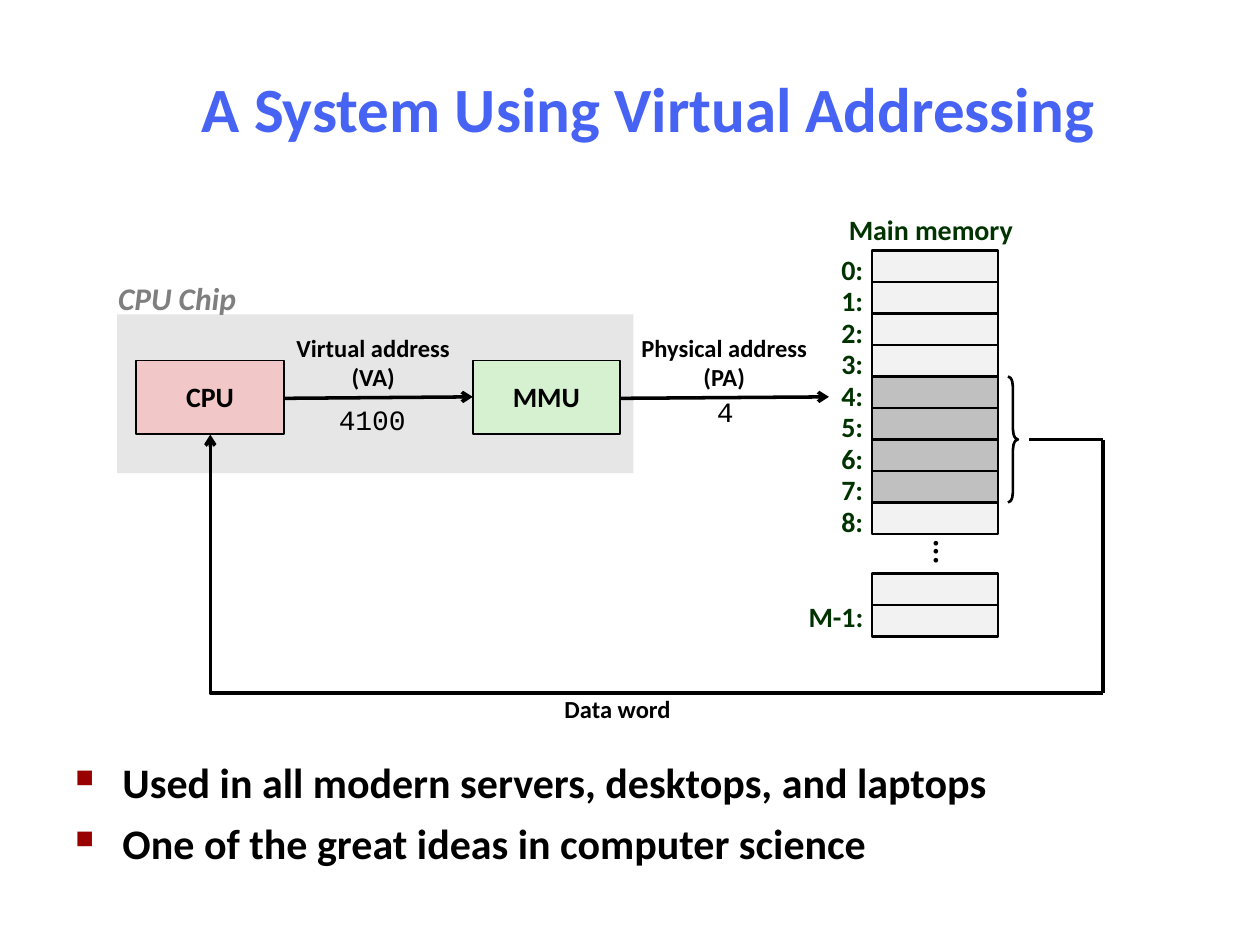
from dataclasses import dataclass
from typing import Any

import pptx
import pptx.dml.color
import pptx.enum.shapes
import pptx.enum.text
import pptx.oxml.ns
import pptx.util
from lxml import etree

Cm = pptx.util.Cm
Pt = pptx.util.Pt
ALIGN = pptx.enum.text.PP_ALIGN
ANCHOR = pptx.enum.text.MSO_ANCHOR
AUTO_SIZE = pptx.enum.text.MSO_AUTO_SIZE
SHAPES = pptx.enum.shapes.MSO_SHAPE
CONNECTORS = pptx.enum.shapes.MSO_CONNECTOR
qn = pptx.oxml.ns.qn

COLORS = {
    "title": "4763F3", "text": "000000", "line": "000000", "bullet": "990000",
    "memory": "003300", "chip_label": "7F7F7F", "chip": "E6E6E6",
    "cpu": "F1C7C7", "mmu": "D5F1CF", "cell": "F2F2F2", "word": "C0C0C0",
}
CELL_WIDTH = 2.54
CELL_HEIGHT = CELL_WIDTH / 4
MEMORY_LEFT, MEMORY_TOP = 17.58, 5.05
MEMORY_END_TOP = 11.56
WORD_CELLS = range(4, 8)


@dataclass(frozen=True)
class Box:
    """A rectangle, in centimetres."""
    left: float
    top: float
    width: float
    height: float

    def lengths(self) -> list[int]:
        """Return the four sides as slide lengths."""
        return [Cm(n) for n in (self.left, self.top, self.width, self.height)]


@dataclass(frozen=True)
class Label:
    """A text with its place and format."""
    text: str
    box: Box
    style: dict[str, Any]


@dataclass(frozen=True)
class Wire:
    """A connector between two points, in centimetres."""
    start: tuple[float, float]
    end: tuple[float, float]
    arrow: bool = False
    bent: bool = False


def rgb(name: str) -> pptx.dml.color.RGBColor:
    """Look up a named colour."""
    return pptx.dml.color.RGBColor.from_string(COLORS[name])


def write_text(shape: Any, text: str, *, size: float = 16, color: str = "text",
               font: str = "Calibri", bold: bool = True, italic: bool = False,
               align: Any = ALIGN.LEFT, anchor: Any = ANCHOR.TOP,
               wrap: bool = False, grow: bool = False,
               spacing: float = 1.0, before: float = 0) -> None:
    """Write one paragraph per line of text, all in one format."""
    frame = shape.text_frame
    frame.word_wrap = wrap
    frame.auto_size = AUTO_SIZE.SHAPE_TO_FIT_TEXT if grow else AUTO_SIZE.NONE
    frame.vertical_anchor = anchor
    for index, line in enumerate(text.split("\n")):
        paragraph = frame.add_paragraph() if index else frame.paragraphs[0]
        paragraph.alignment = align
        paragraph.line_spacing = spacing
        paragraph.space_before = Pt(before)
        run = paragraph.add_run()
        run.text = line
        run.font.name = font
        run.font.size = Pt(size)
        run.font.bold = bold
        run.font.italic = italic
        run.font.color.rgb = rgb(color)


def add_label(slide: Any, label: Label) -> Any:
    """Add a text box."""
    shape = slide.shapes.add_textbox(*label.box.lengths())
    write_text(shape, label.text, **label.style)
    return shape


def add_block(slide: Any, box: Box, fill: str, line_width: float = 0) -> Any:
    """Add a filled rectangle, outlined when a line width is given."""
    shape = slide.shapes.add_shape(SHAPES.RECTANGLE, *box.lengths())
    shape.shadow.inherit = False
    shape.fill.solid()
    shape.fill.fore_color.rgb = rgb(fill)
    if line_width:
        shape.line.color.rgb = rgb("line")
        shape.line.width = Pt(line_width)
    else:
        shape.line.fill.background()
    return shape


def add_wire(slide: Any, wire: Wire) -> None:
    """Add a connector; a bent one runs sideways first, then up."""
    kind = CONNECTORS.ELBOW if wire.bent else CONNECTORS.STRAIGHT
    ends = (wire.end, wire.start) if wire.bent else (wire.start, wire.end)
    connector = slide.shapes.add_connector(kind, *[Cm(n) for point in ends for n in point])
    connector.line.color.rgb = rgb("line")
    connector.line.width = Pt(2)
    properties = connector._element.spPr
    if wire.bent:
        properties.find(qn("a:prstGeom")).set("prst", "bentConnector2")
        properties.find(qn("a:xfrm")).set("rot", str(180 * 60000))
    if wire.arrow:
        etree.SubElement(properties.find(qn("a:ln")), qn("a:tailEnd"), type="arrow")
    etree.SubElement(properties, qn("a:effectLst"))


def add_bullets(shape: Any) -> None:
    """Give each paragraph a small square bullet and a hanging indent."""
    for paragraph in shape.text_frame.paragraphs:
        properties = paragraph._p.get_or_add_pPr()
        properties.set("marL", str(Cm(0.95)))
        properties.set("indent", str(-Cm(0.95)))
        color = etree.SubElement(properties, qn("a:buClr"))
        etree.SubElement(color, qn("a:srgbClr"), val=COLORS["bullet"])
        etree.SubElement(properties, qn("a:buSzPct"), val="60000")
        etree.SubElement(properties, qn("a:buChar"), char="■")


def add_memory(slide: Any) -> None:
    """Draw the memory cells, their addresses, the gap dots and the brace."""
    address = dict(color="memory", spacing=0.88, before=6, grow=True)
    for index in range(9):
        top = MEMORY_TOP + index * CELL_HEIGHT
        fill = "word" if index in WORD_CELLS else "cell"
        add_block(slide, Box(MEMORY_LEFT, top, CELL_WIDTH, CELL_HEIGHT), fill, 1.5)
        add_label(slide, Label(f"{index}:", Box(16.71, top, 0.96, 0.84), address))
    for index in range(2):
        top = MEMORY_END_TOP + index * CELL_HEIGHT
        add_block(slide, Box(MEMORY_LEFT, top, CELL_WIDTH, CELL_HEIGHT), "cell", 1.5)
    add_label(slide, Label("M-1:", Box(16.05, 12.04, 1.65, 0.84), address))
    add_label(slide, Label("Main memory", Box(16.84, 4.24, 3.85, 0.84),
                           address | dict(align=ALIGN.CENTER)))

    dots = add_label(slide, Label("...", Box(17.78, 10.62, CELL_WIDTH, CELL_HEIGHT), dict(
        size=18, align=ALIGN.CENTER, anchor=ANCHOR.MIDDLE, spacing=0.98)))
    frame = dots.text_frame
    frame.margin_left = frame.margin_right = Cm(0.13)
    frame.margin_top = frame.margin_bottom = Cm(0.25)
    frame._txBody.bodyPr.set("vert", "eaVert")
    frame.paragraphs[0]._p.get_or_add_pPr().set("rtl", "1")

    brace_box = Box(20.32, MEMORY_TOP + WORD_CELLS.start * CELL_HEIGHT,
                    0.2, len(WORD_CELLS) * CELL_HEIGHT)
    brace = slide.shapes.add_shape(SHAPES.RIGHT_BRACE, *brace_box.lengths())
    brace.shadow.inherit = False
    brace.adjustments[0] = 1.04
    brace.fill.background()
    brace.line.color.rgb = rgb("line")
    brace.line.width = Pt(1.5)


def main() -> None:
    """Build the slide and save it."""
    presentation = pptx.Presentation()
    presentation.slide_width, presentation.slide_height = Cm(25.4), Cm(19.05)
    slide = presentation.slides.add_slide(presentation.slide_layouts[6])

    centered = dict(align=ALIGN.CENTER, anchor=ANCHOR.MIDDLE, spacing=0.98)
    caption = centered | dict(size=14, grow=True)
    number = dict(font="Courier New", bold=False, grow=True)

    add_block(slide, Box(2.36, 6.34, 10.41, 3.2), "chip")
    for name, left in (("CPU", 2.75), ("MMU", 9.53)):
        block = add_block(slide, Box(left, 7.27, 2.97, 1.48), name.lower(), 1)
        write_text(block, name, **centered)
    add_memory(slide)

    for wire in (
        Wire((5.72, 8.03), (9.53, 8), arrow=True),
        Wire((12.5, 8.03), (16.71, 8), arrow=True),
        Wire((20.75, 8.86), (22.23, 8.86)),
        Wire((22.23, 8.86), (22.23, 13.97)),
        Wire((22.23, 13.97), (4.24, 8.76), arrow=True, bent=True),
    ):
        add_wire(slide, wire)

    for label in (
        Label("A System Using Virtual Addressing", Box(0.97, 1.07, 24.2, 2.18),
              dict(size=36, color="title", align=ALIGN.CENTER,
                   anchor=ANCHOR.MIDDLE, wrap=True)),
        Label("CPU Chip", Box(2.13, 5.5, 2.95, 1.02),
              dict(size=18, color="chip_label", italic=True, grow=True)),
        Label("Virtual address\n(VA)", Box(5.72, 6.61, 3.61, 1.42), caption),
        Label("Physical address\n(PA)", Box(12.67, 6.61, 3.86, 1.42), caption),
        Label("Data word", Box(11.1, 13.89, 2.7, 0.84), caption),
        Label("4100", Box(6.58, 8, 1.9, 0.94), number),
        Label("4", Box(14.2, 7.82, 0.86, 0.94), number),
    ):
        add_label(slide, label)

    add_bullets(add_label(slide, Label(
        "Used in all modern servers, desktops, and laptops\n"
        "One of the great ideas in computer science",
        Box(1.27, 15.13, 23.09, 3.51), dict(size=24, wrap=True, before=6))))
    presentation.save("out.pptx")


main()
